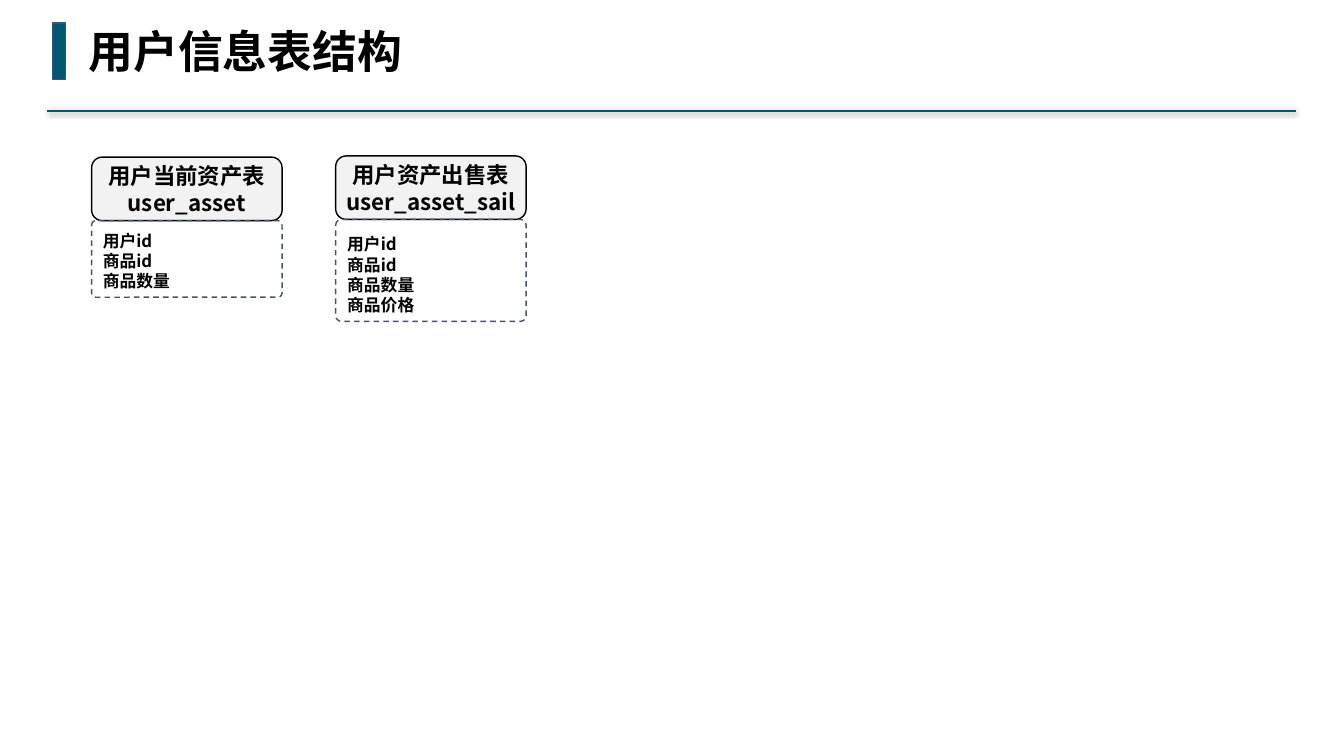
from lxml import etree
from pptx import Presentation
from pptx.dml.color import RGBColor
from pptx.enum import dml, shapes, text
from pptx.oxml import parse_xml
from pptx.oxml.ns import nsdecls, qn
from pptx.util import Cm, Pt

TEAL = RGBColor(0x00, 0x57, 0x6E)
BAR_EDGE = RGBColor(0x32, 0x54, 0x91)
BLACK = RGBColor(0x00, 0x00, 0x00)
HEADER_GREY = RGBColor(0xF2, 0xF2, 0xF2)
DASH_SLATE = RGBColor(0x44, 0x54, 0x6A)
TITLE_FONT = "DejaVu Sans Mono"
TABLE_FONT = "Noto Sans CJK SC"

LINE_SHADOW = (
    f'<a:effectLst {nsdecls("a")}>'
    '<a:outerShdw blurRad="50800" dist="12700" dir="5400000" algn="t" rotWithShape="0">'
    '<a:srgbClr val="000000"><a:alpha val="40000"/></a:srgbClr>'
    '</a:outerShdw></a:effectLst>'
)

# Table heading lines, field names, left, top and field box height in cm
TABLES = [
    (["用户当前资产表", "user_asset"],
     ["用户id", "商品id", "商品数量"], 2.31, 3.96, 1.93),
    (["用户资产出售表", "user_asset_sail"],
     ["用户id", "商品id", "商品数量", "商品价格"], 8.46, 3.93, 2.57),
]
TABLE_WIDTH = 4.8
HEADING_HEIGHT = 1.6


def write_lines(frame, lines, size, font_name, alignment):
    """Fill a text frame with bold black paragraphs."""
    frame.text = "\n".join(lines)
    for paragraph in frame.paragraphs:
        paragraph.alignment = alignment
        font = paragraph.font
        font.size = Pt(size)
        font.bold = True
        font.color.rgb = BLACK
        font.name = font_name
        properties = paragraph._p.pPr.find(qn("a:defRPr"))
        etree.SubElement(properties, qn("a:ea")).set("typeface", font_name)


def add_box(slide, kind, left, top, width, height, fill, line):
    shape = slide.shapes.add_shape(kind, Cm(left), Cm(top), Cm(width), Cm(height))
    shape.shadow.inherit = False
    if fill is None:
        shape.fill.background()
    else:
        shape.fill.solid()
        shape.fill.fore_color.rgb = fill
    shape.line.color.rgb = line
    shape.line.width = Pt(1)
    return shape


def add_title_band(slide, title, left, top, width):
    rule_y = Cm(top + 2.21)
    rule = slide.shapes.add_connector(
        shapes.MSO_CONNECTOR.STRAIGHT, Cm(left + width), rule_y, Cm(left), rule_y)
    rule.line.color.rgb = TEAL
    rule.line.width = Pt(1.5)
    rule._element.spPr.append(parse_xml(LINE_SHADOW))

    add_box(slide, shapes.MSO_SHAPE.RECTANGLE,
            left + 0.13, top, 0.33, 1.42, TEAL, BAR_EDGE)

    title_box = slide.shapes.add_textbox(
        Cm(left + 0.79), Cm(top - 0.1), Cm(8.48), Cm(1.63))
    frame = title_box.text_frame
    frame.word_wrap = False
    frame.auto_size = text.MSO_AUTO_SIZE.SHAPE_TO_FIT_TEXT
    write_lines(frame, [title], 32, TITLE_FONT, text.PP_ALIGN.LEFT)


def add_table_card(slide, heading, fields, left, top, fields_height):
    """Draw a database table as a heading over a dashed list of fields."""
    rounded = shapes.MSO_SHAPE.ROUNDED_RECTANGLE
    heading_box = add_box(slide, rounded, left, top, TABLE_WIDTH, HEADING_HEIGHT,
                          HEADER_GREY, BLACK)
    frame = heading_box.text_frame
    frame.margin_left = frame.margin_right = Cm(0.1)
    frame.margin_top = frame.margin_bottom = Cm(0.1)
    frame.vertical_anchor = text.MSO_ANCHOR.MIDDLE
    frame.word_wrap = False
    write_lines(frame, heading, 16, TABLE_FONT, text.PP_ALIGN.CENTER)

    fields_box = add_box(slide, rounded, left, top + HEADING_HEIGHT, TABLE_WIDTH,
                         fields_height, None, DASH_SLATE)
    fields_box.adjustments[0] = 0.055
    fields_box.line.dash_style = dml.MSO_LINE.DASH
    frame = fields_box.text_frame
    frame.word_wrap = True
    frame.vertical_anchor = text.MSO_ANCHOR.BOTTOM
    write_lines(frame, fields, 12, TABLE_FONT, text.PP_ALIGN.LEFT)


def main():
    presentation = Presentation()
    presentation.slide_width = Cm(33.87)
    presentation.slide_height = Cm(19.05)
    slide = presentation.slides.add_slide(presentation.slide_layouts[6])
    add_title_band(slide, "用户信息表结构", 1.19, 0.58, 31.47)
    for table in TABLES:
        add_table_card(slide, *table)
    presentation.save("out.pptx")


if __name__ == "__main__":
    main()
